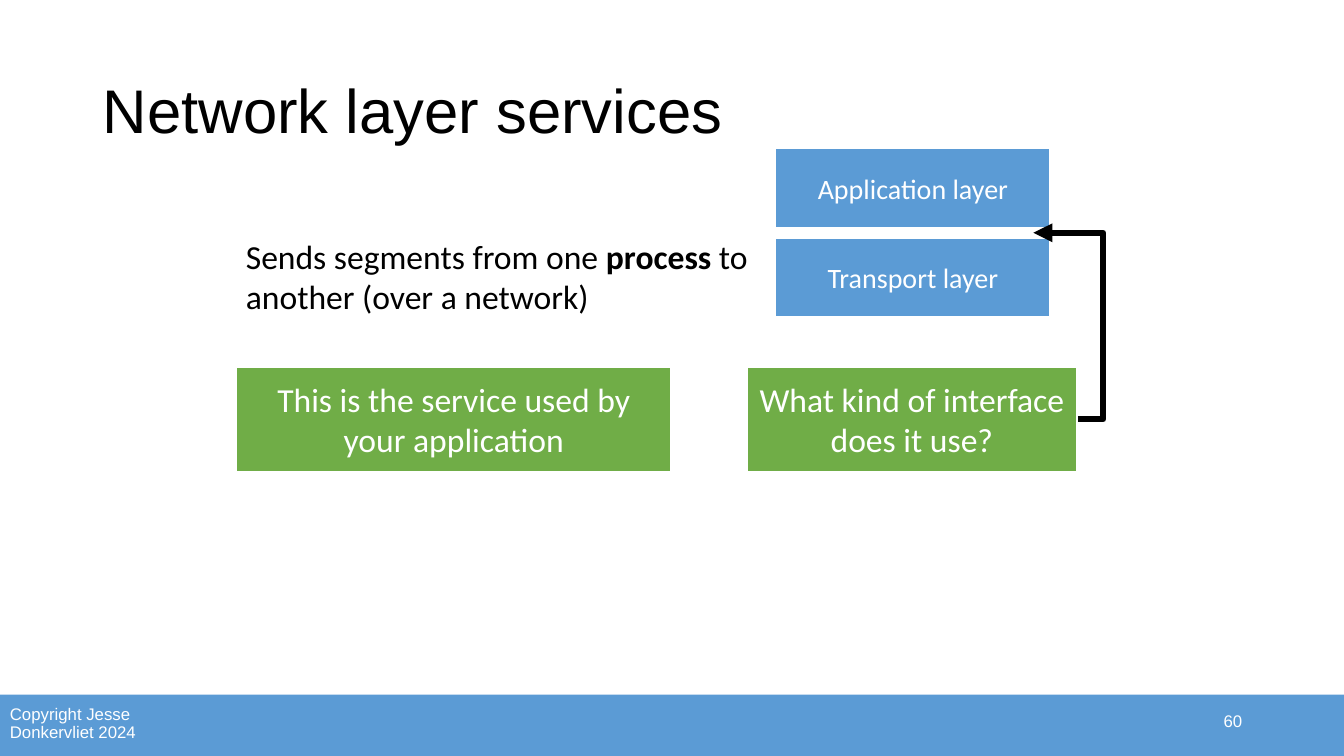
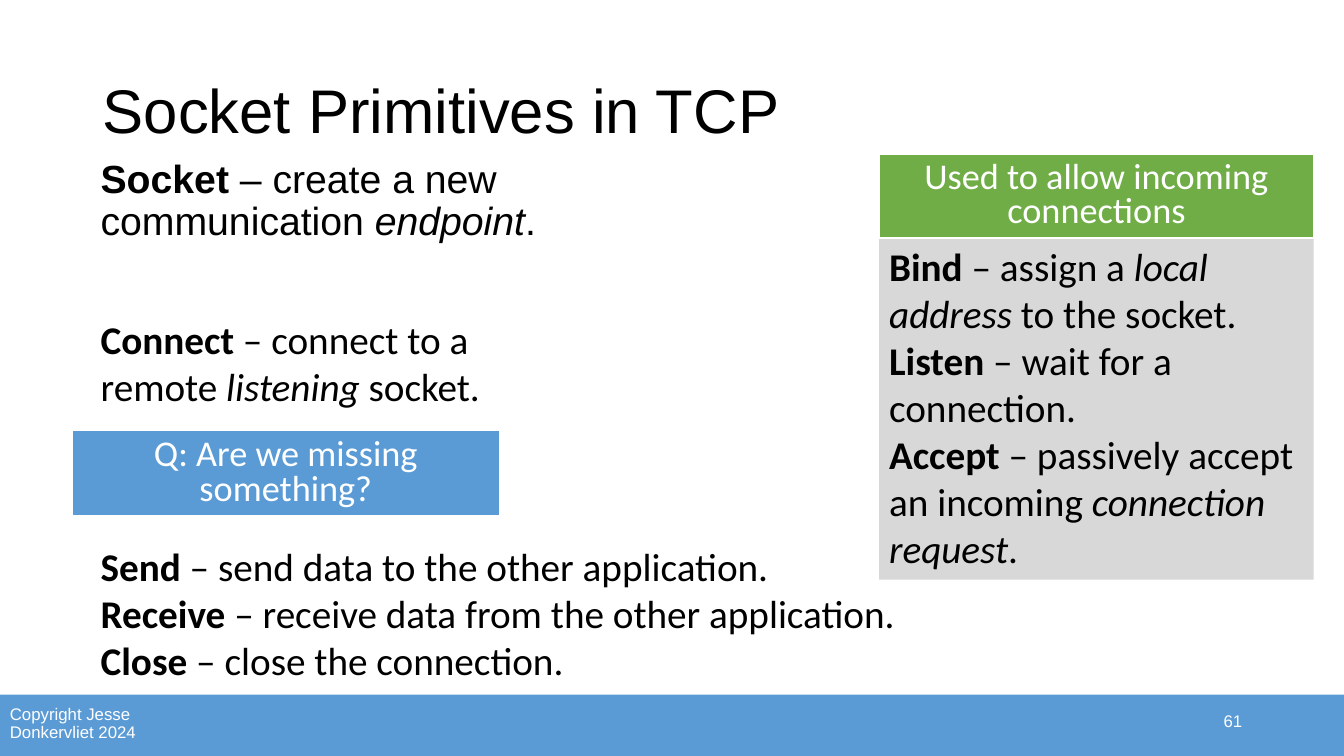
from lxml import etree
from pptx import Presentation
from pptx import util as u
from pptx.dml.color import RGBColor
from pptx.enum import shapes, text
from pptx.oxml import ns

COLOURS = {
    "blue": "5B9BD5",
    "green": "70AD47",
    "grey": "D8D8D8",
    "white": "FFFFFF",
    "black": "000000",
}
HEADING_FONT = "Arial"
BODY_FONT = "Calibri"
LEFT, CENTRE, RIGHT = text.PP_ALIGN.LEFT, text.PP_ALIGN.CENTER, text.PP_ALIGN.RIGHT
TOP, MIDDLE = text.MSO_ANCHOR.TOP, text.MSO_ANCHOR.MIDDLE


def colour(name):
    return RGBColor.from_string(COLOURS[name])


def inches(*lengths):
    return [u.Inches(length) for length in lengths]


def write(box, paragraphs, size, ink="black", font=BODY_FONT, align=LEFT,
          anchor=TOP, spacing=1.0):
    """Fill a box; each paragraph is a list of (words, style), style "", "b" or "i"."""
    frame = box.text_frame
    frame.word_wrap = True
    frame.auto_size = text.MSO_AUTO_SIZE.NONE
    frame.vertical_anchor = anchor
    for index, spans in enumerate(paragraphs):
        para = frame.add_paragraph() if index else frame.paragraphs[0]
        para.alignment = align
        para.line_spacing = spacing
        for words, style in spans:
            span = para.add_run()
            span.text = words
            span.font.name = font
            span.font.size = u.Pt(size)
            span.font.color.rgb = colour(ink)
            span.font.bold = style == "b"
            span.font.italic = style == "i"


def add_text(page, place, paragraphs, size, **look):
    write(page.shapes.add_textbox(*inches(*place)), paragraphs, size, **look)


def add_block(page, place, fill, outline=None):
    block = page.shapes.add_shape(shapes.MSO_SHAPE.RECTANGLE, *inches(*place))
    block.shadow.inherit = False
    block.fill.solid()
    block.fill.fore_color.rgb = colour(fill)
    if outline:
        block.line.color.rgb = colour(outline)
        block.line.width = u.Pt(1.5)
    else:
        block.line.fill.background()
    return block


def add_label(page, place, fill, words, size, spacing=1.0):
    block = add_block(page, place, fill, "white")
    write(block, [[(words, "")]], size, "white", align=CENTRE, anchor=MIDDLE,
          spacing=spacing)


def add_bent_arrow(page, start, end, bend):
    """Elbow arrow; bend is the turning point as a share of its width."""
    arrow = page.shapes.add_connector(
        shapes.MSO_CONNECTOR.ELBOW, *inches(*start, *end))
    arrow.line.color.rgb = colour("black")
    arrow.line.width = u.Pt(4.5)
    properties = arrow._element.spPr
    guides = properties.find(".//" + ns.qn("a:avLst"))
    etree.SubElement(guides, ns.qn("a:gd"), name="adj1",
                     fmla=f"val {round(bend * 100000)}")
    etree.SubElement(arrow.line._get_or_add_ln(), ns.qn("a:tailEnd"), type="triangle")
    etree.SubElement(properties, ns.qn("a:effectLst"))


def add_page(deck, heading, number):
    """New slide with the shared title, footer band, copyright and number."""
    page = deck.slides.add_slide(deck.slide_layouts[5])
    title = page.shapes.title
    title.left, title.top, title.width, title.height = inches(0.92, 0.4, 11.5, 1.45)
    write(title, [[(heading, "")]], 44, font=HEADING_FONT, anchor=MIDDLE, spacing=0.9)

    add_block(page, (0, 6.89, 13.33, 0.61), "blue")
    footer = {"size": 12, "ink": "white", "font": HEADING_FONT, "anchor": MIDDLE}
    add_text(page, (0, 6.93, 1.47, 0.5), [[("Copyright Jesse Donkervliet 2024", "")]],
             spacing=0.9, **footer)
    add_text(page, (9.42, 6.95, 3, 0.4), [[(str(number), "")]], align=RIGHT, **footer)
    return page


def build_services(deck):
    page = add_page(deck, "Network layer services", 60)

    # Layer stack
    for row, layer in enumerate(("Application layer", "Transport layer")):
        add_label(page, (7.69, 1.47 + 0.89 * row, 2.73, 0.79), "blue", layer, 20)
    add_text(page, (2.34, 2.29, 5.33, 0.91), [[
        ("Sends segments from one ", ""), ("process", "b"),
        (" to another (over a network)", "")]], 24)

    # Remarks, with an arrow to the boundary between the layers
    add_label(page, (2.34, 3.64, 4.32, 1.04), "green",
              "This is the service used by your application", 24)
    add_bent_arrow(page, (10.69, 4.16), (10.25, 2.31), -0.57)
    add_label(page, (7.41, 3.64, 3.27, 1.04), "green",
              "What kind of interface does it use?", 24)


def build_primitives(deck):
    page = add_page(deck, "Socket Primitives in TCP", 61)

    # Primitives on the left
    add_text(page, (0.9, 1.53, 5.76, 1.28), [[
        ("Socket", "b"), (" – create a new communication ", ""),
        ("endpoint", "i"), (".", "")]], 28, font=HEADING_FONT, spacing=0.9)
    add_text(page, (0.9, 3.08, 4.31, 1.04), [[
        ("Connect", "b"), (" – connect to a remote ", ""),
        ("listening ", "i"), ("socket.", "")]], 28)
    add_text(page, (0.9, 5.33, 8.62, 1.51), [
        [("Send", "b"), (" – send data to the other application.", "")],
        [("Receive", "b"), (" – receive data from the other application.", "")],
        [("Close", "b"), (" – close the connection.", "")]], 28)

    # Primitives for incoming connections
    write(add_block(page, (8.72, 2.35, 4.31, 3.4), "grey"), [
        [("Bind", "b"), (" – assign a ", ""), ("local address", "i"),
         (" to the socket.", "")],
        [("Listen", "b"), (" – wait for a connection.", "")],
        [("Accept", "b"), (" – passively accept an incoming ", ""),
         ("connection request", "i"), (".", "")]], 28)

    # Callouts
    add_label(page, (8.72, 1.53, 4.31, 0.83), "green",
              "Used to allow incoming connections", 25.9, 0.8)
    add_label(page, (0.71, 4.27, 4.25, 0.85), "blue",
              "Q: Are we missing something?", 25.9, 0.8)


def main():
    deck = Presentation()
    deck.slide_width, deck.slide_height = inches(13.33, 7.5)
    build_services(deck)
    build_primitives(deck)
    deck.save("out.pptx")


if __name__ == "__main__":
    main()
